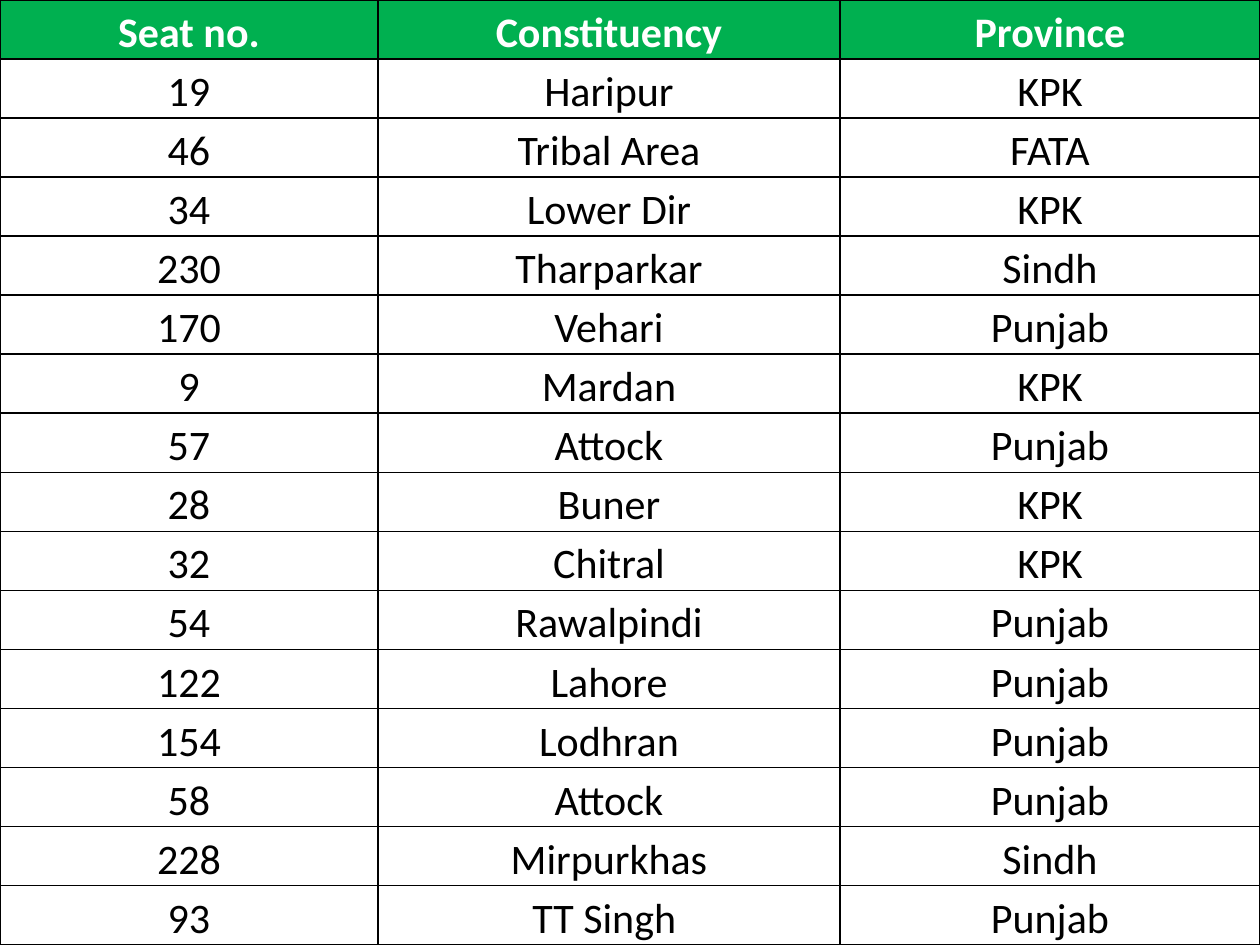
from lxml import etree
from pptx import Presentation
from pptx.dml.color import RGBColor
from pptx.enum import text
from pptx.oxml import ns
from pptx.util import Pt


def color(code):
    return RGBColor.from_string(code)


def edge(cell, side):
    line = etree.SubElement(cell._tc.get_or_add_tcPr(), ns.qn("a:" + side), w=str(Pt(1)))
    fill = etree.SubElement(line, ns.qn("a:solidFill"))
    etree.SubElement(fill, ns.qn("a:srgbClr"), val="000000")


seats = [
    ("Seat no.", "Constituency", "Province"),
    ("19", "Haripur", "KPK"),
    ("46", "Tribal Area", "FATA"),
    ("34", "Lower Dir", "KPK"),
    ("230", "Tharparkar", "Sindh"),
    ("170", "Vehari", "Punjab"),
    ("9", "Mardan", "KPK"),
    ("57", "Attock", "Punjab"),
    ("28", "Buner", "KPK"),
    ("32", "Chitral", "KPK"),
    ("54", "Rawalpindi", "Punjab"),
    ("122", "Lahore", "Punjab"),
    ("154", "Lodhran", "Punjab"),
    ("58", "Attock", "Punjab"),
    ("228", "Mirpurkhas", "Sindh"),
    ("93", "TT Singh ", "Punjab"),
]
wide, high = 720, 540

deck = Presentation()
deck.slide_width, deck.slide_height = Pt(wide), Pt(high)
slide = deck.slides.add_slide(deck.slide_layouts[6])

table = slide.shapes.add_table(len(seats), 3, 0, 0, Pt(wide), Pt(high)).table
table.horz_banding = False
for col, width in zip(table.columns, (216, 264, 240)):
    col.width = Pt(width)

for r, seat in enumerate(seats):
    table.rows[r].height = Pt(high / len(seats))
    head = r == 0
    for c, word in enumerate(seat):
        cell = table.cell(r, c)
        cell.margin_left = cell.margin_right = cell.margin_top = Pt(0.72)
        cell.margin_bottom = 0
        cell.vertical_anchor = text.MSO_ANCHOR.BOTTOM
        for side in ("lnL", "lnR", "lnT", "lnB"):
            edge(cell, side)
        if head:
            cell.fill.solid()
            cell.fill.fore_color.rgb = color("00B050")
        else:
            cell.fill.background()
        para = cell.text_frame.paragraphs[0]
        para.alignment = text.PP_ALIGN.CENTER
        run = para.add_run()
        run.text = word
        run.font.name = "Calibri"
        run.font.size = Pt(24)
        run.font.bold = head
        run.font.color.rgb = color("FFFFFF" if head else "000000")

deck.save("out.pptx")
